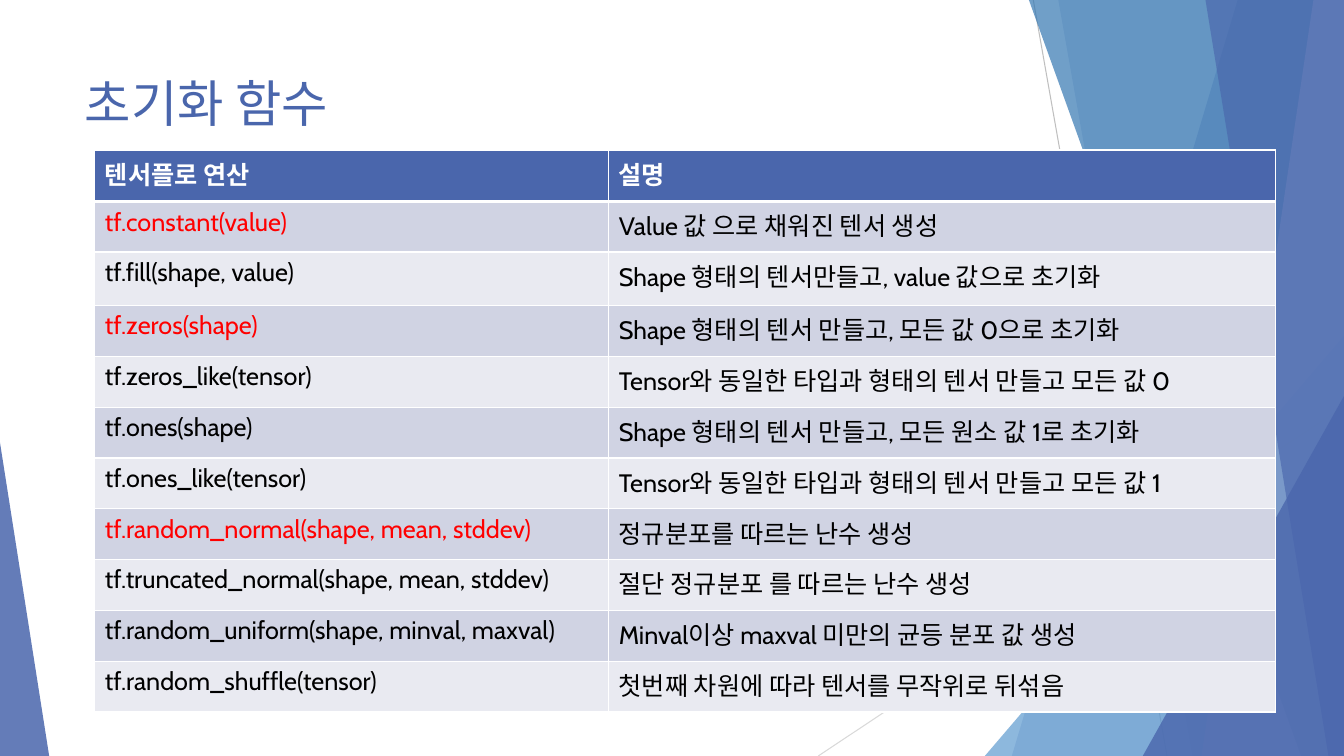
import pptx
import pptx.dml.color
import pptx.enum.shapes
import pptx.enum.text
import pptx.oxml
import pptx.oxml.ns
import pptx.util

Cm = pptx.util.Cm
FONT = "Cabin"
BLUE, SKY, SEA, PALE = "4A66AC", "629DD1", "3477B2", "90A2CF"
WHITE, BLACK, RED = "FFFFFF", "000000", "FF0000"
BANDS = ("D0D3E3", "E9EAF1")
WIDE, HIGH = 33.87, 19.05

HEAD = ("텐서플로 연산", "설명")
ROWS = [
    ("tf.constant(value)", "Value 값 으로 채워진 텐서 생성"),
    ("tf.fill(shape, value)", "Shape 형태의 텐서만들고, value 값으로 초기화"),
    ("tf.zeros(shape)", "Shape 형태의 텐서 만들고, 모든 값 0으로 초기화"),
    ("tf.zeros_like(tensor)", "Tensor와 동일한 타입과 형태의 텐서 만들고 모든 값 0"),
    ("tf.ones(shape)", "Shape 형태의 텐서 만들고, 모든 원소 값 1로 초기화"),
    ("tf.ones_like(tensor)", "Tensor와 동일한 타입과 형태의 텐서 만들고 모든 값 1"),
    ("tf.random_normal(shape, mean, stddev)", "정규분포를 따르는 난수 생성"),
    ("tf.truncated_normal(shape, mean, stddev)", "절단 정규분포 를 따르는 난수 생성"),
    ("tf.random_uniform(shape, minval, maxval)", "Minval이상 maxval 미만의 균등 분포 값 생성"),
    ("tf.random_shuffle(tensor)", "첫번째 차원에 따라 텐서를 무작위로 뒤섞음"),
]
KEYS = {"tf.constant(value)", "tf.zeros(shape)", "tf.random_normal(shape, mean, stddev)"}


def paint(target, color):
    """Give a fill, line or font colour object its hex colour."""
    target.rgb = pptx.dml.color.RGBColor.from_string(color)


def tint(shape, color, alpha):
    """Fill a shape with a see-through colour and no outline."""
    shape.shadow.inherit = False
    shape.fill.solid()
    paint(shape.fill.fore_color, color)
    shape.line.fill.background()
    tone = shape.fill._xPr.find(".//" + pptx.oxml.ns.qn("a:srgbClr"))
    pptx.oxml.xmlchemy.OxmlElement("a:alpha")
    mark = pptx.oxml.xmlchemy.OxmlElement("a:alpha")
    mark.set("val", str(alpha * 1000))
    tone.append(mark)


def write(frame, text, size, color, bold=False):
    """Add one run to the first paragraph of a text frame."""
    run = frame.paragraphs[0].add_run()
    run.text = text
    run.font.name = FONT
    run.font.size = pptx.util.Pt(size)
    run.font.bold = bold
    paint(run.font.color, color)


def streak(slide, start, end, color):
    """Draw one thin line between two points."""
    kind = pptx.enum.shapes.MSO_CONNECTOR.STRAIGHT
    line = slide.shapes.add_connector(kind, *map(Cm, start + end))
    line.line.width = pptx.util.Pt(0.75)
    paint(line.line.color, color)
    line._element.spPr.append(pptx.oxml.xmlchemy.OxmlElement("a:effectLst"))


def wedge(slide, top, foot, color, alpha):
    """Fill the slide's right side from a slanted edge."""
    form = slide.shapes.build_freeform(Cm(top), Cm(0))
    edge = [(WIDE, 0), (WIDE, HIGH), (foot, HIGH)]
    form.add_line_segments([(Cm(x), Cm(y)) for x, y in edge], close=True)
    tint(form.convert_to_shape(), color, alpha)


def peak(slide, left, width, height, apex, color, alpha):
    """Stand a right triangle on the slide's lower edge."""
    kind = pptx.enum.shapes.MSO_SHAPE.ISOSCELES_TRIANGLE
    box = (left, HIGH - height, width, height)
    shape = slide.shapes.add_shape(kind, *map(Cm, box))
    shape.adjustments[0] = apex
    tint(shape, color, alpha)


def facets(slide):
    """Draw the layered facets at both sides of the slide."""
    streak(slide, (26.04, 0), (29.41, HIGH), "BFBFBF")
    streak(slide, (WIDE, 10.24), (20.62, HIGH), "D9D9D9")
    wedge(slide, 31.19, 25.5, BLUE, 30)
    wedge(slide, 26.67, 30.05, BLUE, 20)
    peak(slide, WIDE - 9.05, 9.05, 10.59, 1, SKY, 72)
    wedge(slide, 25.93, 32.79, SEA, 70)
    wedge(slide, 33.1, 30.28, PALE, 70)
    wedge(slide, 30.38, 33.48, BLUE, 65)
    peak(slide, WIDE - 5.07, 5.07, 9.07, 1, BLUE, 80)
    peak(slide, 0, 1.24, 7.9, 0, BLUE, 85)


def heading(slide, box, text):
    """Place and fill the title placeholder."""
    title = slide.shapes.title
    title.left, title.top, title.width, title.height = map(Cm, box)
    frame = title.text_frame
    frame.word_wrap = True
    frame.auto_size = pptx.enum.text.MSO_AUTO_SIZE.NONE
    frame.vertical_anchor = pptx.enum.text.MSO_ANCHOR.TOP
    frame.paragraphs[0].alignment = pptx.enum.text.PP_ALIGN.LEFT
    write(frame, text, 36, BLUE)


def border(cell, side, width):
    """Add one white border to a cell."""
    space = pptx.oxml.ns.nsdecls("a")
    cell._tc.get_or_add_tcPr().append(pptx.oxml.parse_xml(
        f'<a:ln{side} {space} w="{pptx.util.Pt(width)}"><a:solidFill>'
        f'<a:srgbClr val="{WHITE}"/></a:solidFill></a:ln{side}>'))


def grid(slide, box, cols, highs):
    """Build the table of functions inside its box."""
    data = [HEAD] + ROWS
    shape = slide.shapes.add_table(len(data), len(cols), *map(Cm, box))
    table = shape.table
    for col, width in zip(table.columns, cols):
        col.width = Cm(width)
    for i, (row, high, texts) in enumerate(zip(table.rows, highs, data)):
        row.height = Cm(high)
        for cell, text in zip(row.cells, texts):
            for side in "LRTB":
                thick = (side, i) in (("B", 0), ("T", 1))
                border(cell, side, 3 if thick else 1)
            cell.fill.solid()
            paint(cell.fill.fore_color, BANDS[(i - 1) % 2] if i else BLUE)
            color = RED if text in KEYS else BLACK
            write(cell.text_frame, text, 18, color if i else WHITE, i == 0)


def main():
    """Build and save the slide."""
    deck = pptx.Presentation()
    deck.slide_width, deck.slide_height = Cm(WIDE), Cm(HIGH)
    slide = deck.slides.add_slide(deck.slide_layouts[5])
    facets(slide)
    heading(slide, (1.88, 1.7, 23.88, 3.66), "초기화 함수")
    highs = [1.3, 1.27, 1.35] + [1.28] * 8
    cols = (12.95, 16.81)
    grid(slide, (2.39, 3.78, sum(cols), sum(highs)), cols, highs)
    deck.save("out.pptx")


if __name__ == "__main__":
    main()
